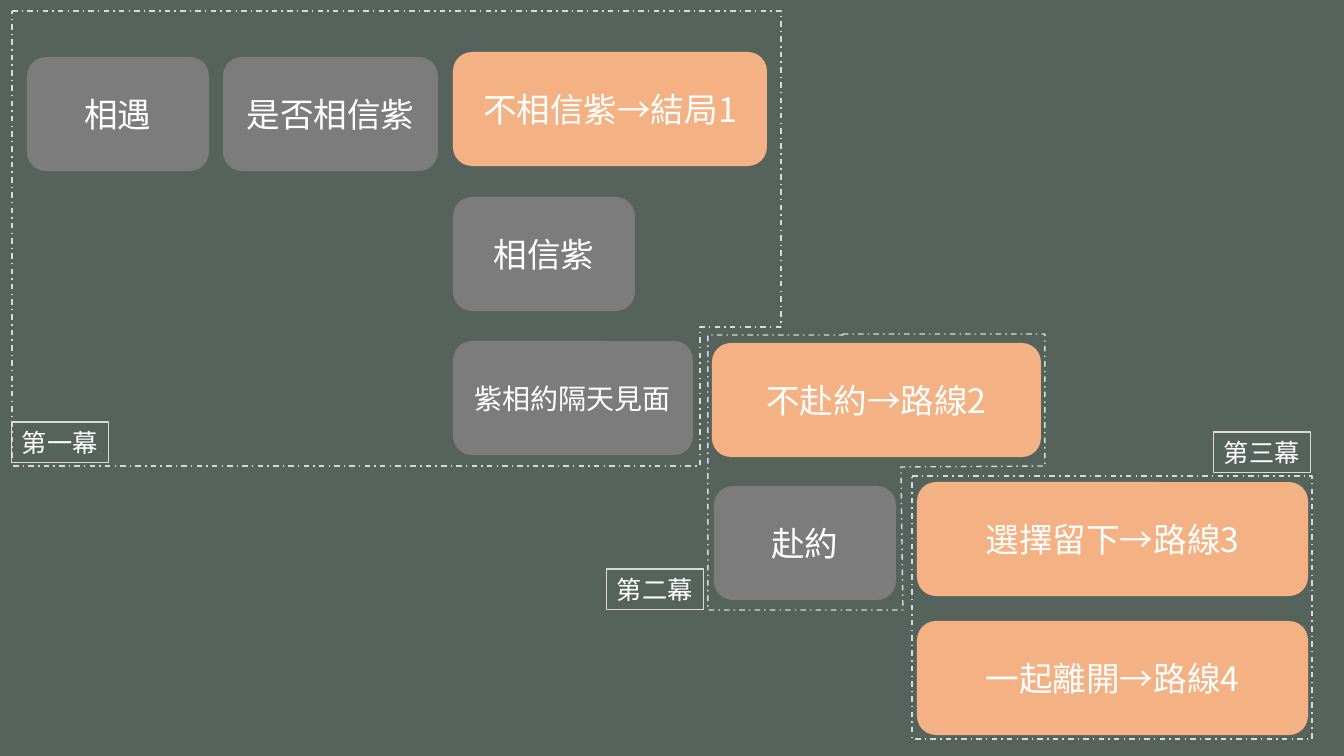
from pptx import Presentation
from pptx.dml.color import RGBColor
from pptx.enum.dml import MSO_LINE
from pptx.enum.shapes import MSO_SHAPE as SHAPE
from pptx.enum.text import MSO_ANCHOR as ANCHOR, PP_ALIGN as ALIGN
from pptx.oxml.ns import qn
from pptx.util import Pt
from lxml import etree

PX = 914400 / 100.8
FONT = "Noto Sans CJK JP"
GREEN = RGBColor(0x56, 0x63, 0x5D)
GRAY = RGBColor(0x7C, 0x7C, 0x7C)
ORANGE = RGBColor(0xF4, 0xB1, 0x83)
LIGHT = RGBColor(0xD9, 0xD9, 0xD9)
WHITE = RGBColor(0xFF, 0xFF, 0xFF)
CARD_H = 114
LABEL_W, LABEL_H = 97, 41


def px(n):
    return round(n * PX)


def write(sp, text, size, align):
    tf = sp.text_frame
    tf.text = text
    tf.word_wrap = False
    tf.vertical_anchor = ANCHOR.MIDDLE
    p = tf.paragraphs[0]
    p.alignment = align
    font = p.runs[0].font
    font.name = FONT
    font.size = Pt(size)
    font.color.rgb = WHITE
    etree.SubElement(font._element, qn("a:ea"), typeface=FONT)


prs = Presentation()
prs.slide_width, prs.slide_height = px(1344), px(756)
s = prs.slides.add_slide(prs.slide_layouts[6])
s.background.fill.solid()
s.background.fill.fore_color.rgb = GREEN

acts = [
    [(912, 476), (1312, 476), (1312, 739), (912, 739)],
    [(843, 334), (1045, 334), (1045, 466), (901, 467), (903, 610),
     (708, 610), (708, 335), (843, 335)],
    [(12, 11), (781, 11), (781, 327), (700, 327), (700, 466), (12, 466)],
]
for start, *corners in acts:
    builder = s.shapes.build_freeform(*start, scale=PX)
    builder.add_line_segments(corners, close=True)
    sp = builder.convert_to_shape()
    sp.shadow.inherit = False
    sp.fill.background()
    sp.line.color.rgb = LIGHT
    sp.line.width = Pt(1)
    sp.line.dash_style = MSO_LINE.DASH_DOT

cards = [
    ("相遇", 27, 57, 182, GRAY, 24),
    ("是否相信紫", 223, 57, 215, GRAY, 24),
    ("不相信紫→結局1", 453, 52, 314, ORANGE, 24),
    ("相信紫", 453, 197, 182, GRAY, 24),
    ("紫相約隔天見面", 453, 341, 240, GRAY, 20),
    ("不赴約→路線2", 712, 343, 329, ORANGE, 24),
    ("赴約", 714, 486, 182, GRAY, 24),
    ("選擇留下→路線3", 917, 482, 391, ORANGE, 24),
    ("一起離開→路線4", 917, 621, 391, ORANGE, 24),
]
for text, x, y, w, color, size in cards:
    sp = s.shapes.add_shape(SHAPE.ROUNDED_RECTANGLE, px(x), px(y), px(w), px(CARD_H))
    sp.shadow.inherit = False
    sp.fill.solid()
    sp.fill.fore_color.rgb = color
    sp.line.fill.background()
    write(sp, text, size, ALIGN.CENTER)

labels = [("第一幕", 12, 422), ("第二幕", 607, 569), ("第三幕", 1214, 432)]
for text, x, y in labels:
    sp = s.shapes.add_shape(SHAPE.RECTANGLE, px(x), px(y), px(LABEL_W), px(LABEL_H))
    sp.shadow.inherit = False
    sp.fill.background()
    sp.line.color.rgb = LIGHT
    sp.line.width = Pt(0.75)
    write(sp, text, 18, ALIGN.LEFT)

prs.save("out.pptx")
